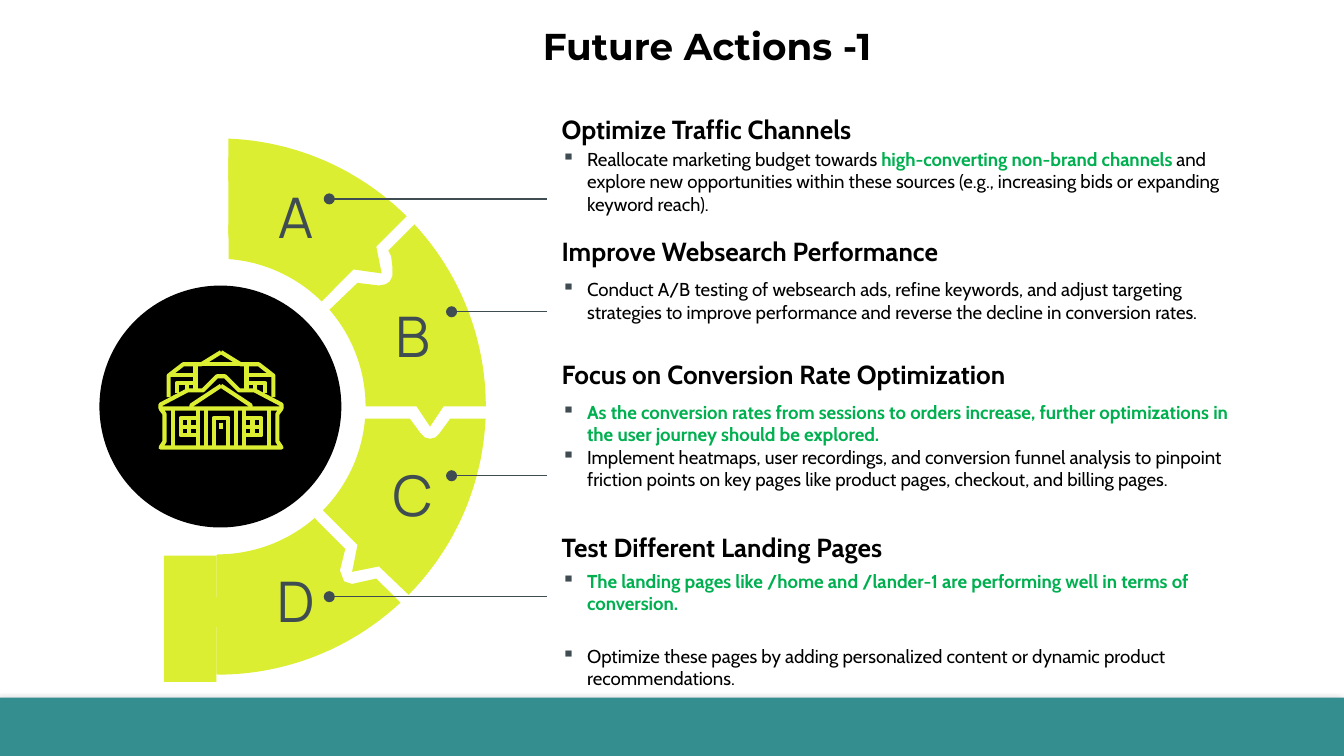
from math import cos, radians, sin

from lxml.etree import SubElement
from pptx import Presentation
from pptx.dml.color import RGBColor
from pptx.enum.shapes import MSO_CONNECTOR, MSO_SHAPE
from pptx.enum.text import MSO_ANCHOR, PP_ALIGN
from pptx.oxml.ns import qn
from pptx.util import Inches, Pt

COLORS = {"lime": "DCEE32", "black": "000000", "slate": "3F4D53",
          "green": "00B050", "teal": "348E90"}
COLUMNS, ROWS = 100, 56.25
SLIDE_WIDTH = Inches(10)
CELL = SLIDE_WIDTH // COLUMNS

SEGMENTS = [
    ((-87.7, -45.2), (-45.3, -85.8),
     [(11.8, -11.9), (12.2, -9.9), (10.1, -10.2)],
     [(0.8, -13.5), (2.2, -14.4), (2.7, -15.2), (2.2, -15.9), (0.8, -16.8)]),
    ((-42.8, 0), (0, -40.9),
     [(16.8, 0), (15.8, 1.5), (14.8, 0)],
     [(10.4, -9.2), (12, -9), (12.5, -9.1), (12.8, -9.3), (13, -9.7),
      (13, -10.4), (12.9, -11.2), (12.7, -11.6)]),
    ((2.6, 44.6), (44.6, 4.7),
     [(12, 11.9), (10, 12.3), (10.4, 10.3)],
     [(14.3, 0.9), (15.1, 2), (15.4, 2.3), (15.8, 2.4), (16.2, 2.3),
      (16.5, 2), (17.3, 0.9)]),
    ((47, 90), (90, 49),
     [(-0.1, 19.9), (-0.1, 16.4), (-1.9, 15.3), (-0.1, 14.2), (-0.1, 11.1)],
     [(9.5, 10.6), (9.1, 12.2), (9.4, 13), (10, 13.2), (11.8, 12.8)]),
]
HOUSE_HALF = [
    [(4.65, 7.25), (0.15, 7.25), (0.45, 6.8), (0.45, 4.75), (0.15, 4.35), (4.65, 4.35)],
    [(0.15, 4.35), (0.15, 4.05), (2.15, 3), (3.3, 3), (4.35, 1.95), (4.65, 1.95)],
    [(2.45, 4.35), (2.45, 4.1), (4.65, 2.65)],
    [(0.75, 3.5), (0.75, 1.9), (1.85, 1.05), (3.2, 1.05), (4.65, 0.15)],
    [(0.75, 1.85), (2.75, 1.85)],
    [(4.65, 1.05), (2.75, 1.05), (2.75, 2.9)],
    [(1.35, 3.2), (1.35, 2.45), (2.75, 2.45)],
    [(2.15, 2.45), (2.15, 2.9)],
    [(1.05, 4.35), (1.05, 7.25)],
    [(2.95, 4.35), (2.95, 7.25)],
    [(3.55, 4.35), (3.55, 7.25)],
    [(2.95, 5.05), (1.65, 5.05), (1.65, 6.35), (2.95, 6.35)],
    [(2.3, 5.05), (2.3, 6.35)],
    [(1.65, 5.7), (2.95, 5.7)],
    [(4.1, 7.25), (4.1, 5.05), (4.65, 5.05)],
    [(4.65, 5.4), (4.65, 5.9)],
]
CALLOUTS = [("A", 16.7, 12.3, 24.5, 14.8), ("B", 25.4, 21.2, 33.6, 23.2),
            ("C", 25.4, 33, 33.6, 35.4), ("D", 16.7, 40.9, 24.5, 44.4)]
SECTIONS = [
    ("Optimize Traffic Channels", 7.1, 10, 0, [
        [("Reallocate marketing budget towards ", False),
         ("high-converting non-brand channels ", True),
         ("and explore new opportunities within these sources (e.g., increasing "
          "bids or expanding keyword reach).", False)]]),
    ("Improve Websearch Performance", 16.2, 19.7, 0, [
        [("Conduct A/B testing of websearch ads, refine keywords, and adjust targeting "
          "strategies to improve performance and reverse the decline in conversion "
          "rates.", False)]]),
    ("Focus on Conversion Rate Optimization", 25.3, 28.8, 0, [
        [("As the conversion rates from sessions to orders increase, further "
          "optimizations in the user journey should be explored.", True)],
        [("Implement heatmaps, user recordings, and conversion funnel analysis to "
          "pinpoint friction points on key pages like product pages, checkout, and "
          "billing pages.", False)]]),
    ("Test Different Landing Pages", 38.2, 41.4, 16, [
        [("The landing pages like /home and /lander-1 are performing well in terms "
          "of conversion.", True)],
        [("Optimize these pages by adding personalized content or dynamic product "
          "recommendations.", False)]]),
]


def cells(*values):
    return [round(value * CELL) for value in values]


def color(name):
    return RGBColor.from_string(COLORS[name])


def paint(shape, name):
    shape.shadow.inherit = False
    shape.fill.solid()
    shape.fill.fore_color.rgb = color(name)
    shape.line.fill.background()
    return shape


def add_preset(page, kind, box, name):
    return paint(page.shapes.add_shape(kind, *cells(*box)), name)


def add_outline(page, origin, contours, close):
    placed = [[cells(origin[0] + x, origin[1] + y) for x, y in contour]
              for contour in contours]
    builder = page.shapes.build_freeform(*placed[0][0], scale=1.0)
    for index, contour in enumerate(placed):
        if index:
            builder.move_to(*contour[0])
        builder.add_line_segments(contour[1:], close=close)
    shape = builder.convert_to_shape()
    shape.shadow.inherit = False
    return shape


def add_text_frame(page, box, inset=1):
    frame = page.shapes.add_textbox(*cells(*box)).text_frame
    frame.word_wrap = True
    frame.margin_top, frame.margin_bottom = cells(inset, inset)
    frame.margin_left, frame.margin_right = cells(1, 1)
    return frame


def add_span(para, text, font, size, name, bold=False):
    span = para.add_run()
    span.text = text
    span.font.name, span.font.size, span.font.bold = font, Pt(size), bold
    span.font.color.rgb = color(name)


def add_bullet(para):
    properties = para._p.get_or_add_pPr()
    indent = cells(1.9)[0]
    properties.set("marL", str(indent))
    properties.set("indent", str(-indent))
    bullet_color = SubElement(properties, qn("a:buClr"))
    SubElement(bullet_color, qn("a:srgbClr"), val=COLORS["slate"])
    SubElement(properties, qn("a:buChar"), char="▪")


def arc(radius, start, end, steps=24):
    angles = [radians(start + (end - start) * step / steps) for step in range(steps + 1)]
    return [(radius * cos(angle), radius * sin(angle)) for angle in angles]


def add_footer(page, box):
    footer = add_preset(page, MSO_SHAPE.RECTANGLE, box, "teal")
    effects = footer._element.spPr.find(qn("a:effectLst"))
    shadow = SubElement(effects, qn("a:outerShdw"), blurRad=str(Pt(4)), dist=str(Pt(3)),
                        dir="8100000", algn="tr", rotWithShape="0")
    shade = SubElement(shadow, qn("a:srgbClr"), val=COLORS["black"])
    SubElement(shade, qn("a:alpha"), val="40000")


def add_wheel(page, box):
    left, top, width, height = box
    radius = height / 2
    x, y = left + 8.8, top + radius
    for outer, inner, end_edge, start_edge in SEGMENTS:
        contour = arc(radius, *outer) + end_edge + arc(11, *inner) + start_edge
        paint(add_outline(page, (x, y), [contour], True), "lime")
    for patch in [(x + 0.8, y - 18.5, 3.9, 5.7), (x - 4, y + 11.1, 3.9, 9.4)]:
        add_preset(page, MSO_SHAPE.RECTANGLE, patch, "lime")
    add_preset(page, MSO_SHAPE.OVAL, (left, y - 9, 18, 18), "black")
    add_house(page, (left + 4.4, y - 4.2, 9.3, 7.4))


def add_house(page, box):
    left, top, width, height = box
    mirrored = [[(width - x, y) for x, y in line] for line in HOUSE_HALF]
    house = add_outline(page, (left, top), HOUSE_HALF + mirrored, False)
    house.fill.background()
    house.line.color.rgb = color("lime")
    house.line.width = Pt(2.2)


def add_callout(page, letter, box, dot, edge):
    frame = add_text_frame(page, box)
    frame.vertical_anchor = MSO_ANCHOR.MIDDLE
    para = frame.paragraphs[0]
    para.alignment = PP_ALIGN.CENTER
    add_span(para, letter, "Manrope", 30, "slate")
    leader = page.shapes.add_connector(MSO_CONNECTOR.STRAIGHT,
                                       *cells(edge, dot[1], dot[0], dot[1]))
    leader.line.color.rgb = color("slate")
    leader.line.width = Pt(0.75)
    SubElement(leader.line._get_or_add_ln(), qn("a:tailEnd"), type="oval")
    SubElement(leader._element.spPr, qn("a:effectLst"))


def add_section(page, heading, items, gap, heading_box, body_box):
    para = add_text_frame(page, heading_box).paragraphs[0]
    para.line_spacing, para.space_after = 1.15, Pt(16)
    add_span(para, heading, "Cabin", 14, "black", True)
    frame = add_text_frame(page, body_box)
    for index, spans in enumerate(items):
        para = frame.add_paragraph() if index else frame.paragraphs[0]
        add_bullet(para)
        para.space_after = Pt(gap)
        for text, strong in spans:
            add_span(para, text, "Cabin", 10, "green" if strong else "black", strong)


def add_title(page, box):
    para = add_text_frame(page, box, 0.5).paragraphs[0]
    add_span(para, "Future Actions -1", "Montserrat", 20, "black", True)


def main():
    deck = Presentation()
    deck.slide_width, deck.slide_height = cells(COLUMNS, ROWS)
    page = deck.slides.add_slide(deck.slide_layouts[6])
    add_footer(page, (0, 51.9, COLUMNS, ROWS - 51.9))
    add_wheel(page, (7.4, 10.3, 28.7, 39.9))
    for letter, left, top, dot_x, dot_y in CALLOUTS:
        add_callout(page, letter, (left, top, 10.6, 7.5), (dot_x, dot_y), 40.7)
    for heading, heading_top, body_top, gap, items in SECTIONS:
        add_section(page, heading, items, gap, (40.8, heading_top, 51.9, 4.7),
                    (40.8, body_top, 51.9, 5.9))
    add_title(page, (39.4, 1.2, 42.9, 4.4))
    deck.save("out.pptx")


if __name__ == "__main__":
    main()
